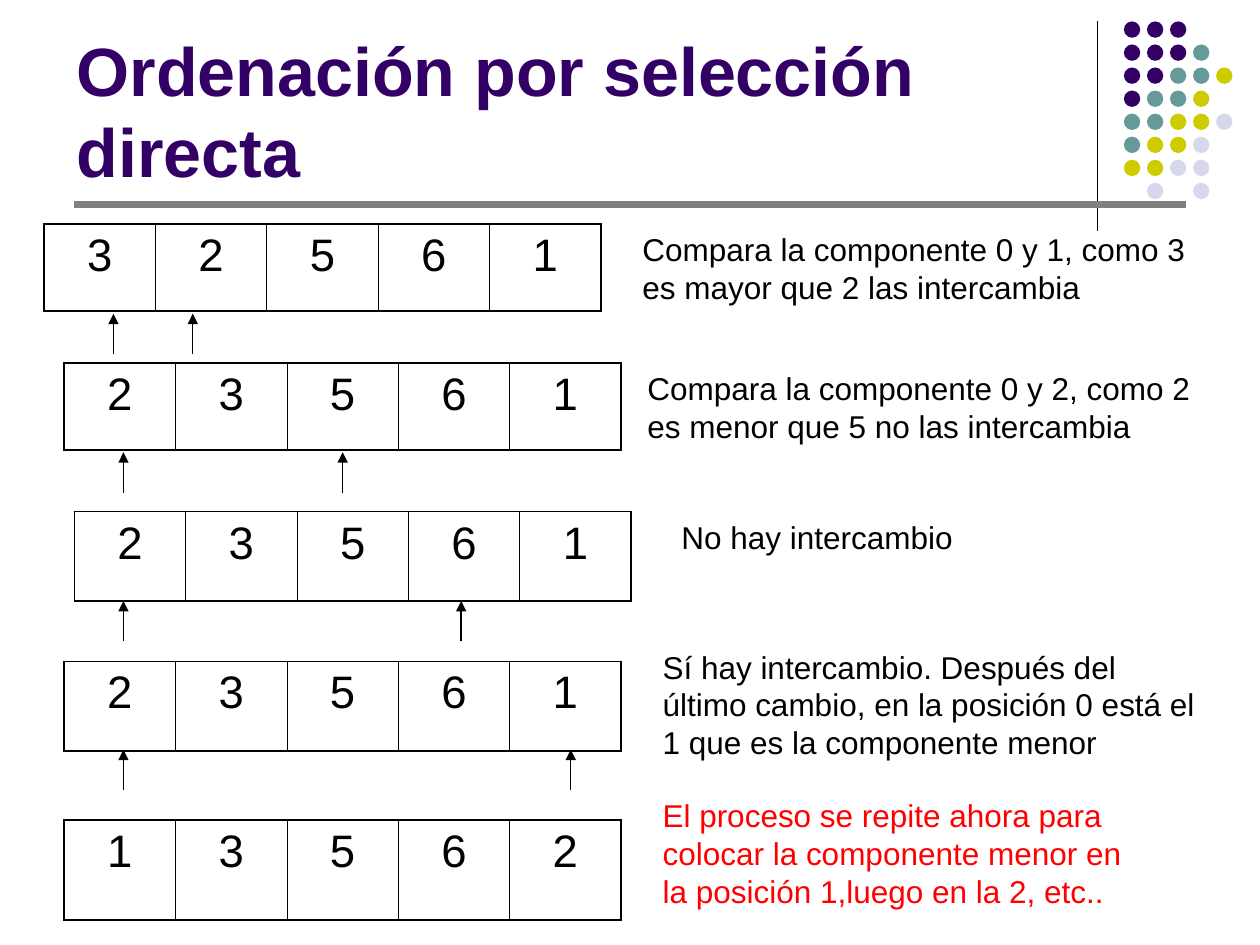
"""Builds a slide that traces one pass of direct selection sort."""
from lxml.etree import SubElement
from pptx import Presentation
from pptx.dml.color import RGBColor
from pptx.enum.shapes import MSO_CONNECTOR, MSO_SHAPE
from pptx.enum.text import MSO_ANCHOR, MSO_AUTO_SIZE, PP_ALIGN
from pptx.oxml import parse_xml
from pptx.oxml.ns import nsdecls, qn
from pptx.util import Inches, Pt

COLORS = {
    "black": "000000", "gray": "808080", "red": "FF0000",
    "P": "330066", "T": "669999", "Y": "CCCC00", "L": "D8D8EC",
}
TITLE = "Ordenación por selección directa"
DOT_ROWS = ["PPP", "PPPT", "PPTTY", "PTTY", "TTYYL", "TYYL", "YYLL", " L L"]
DOT_LEFT, DOT_TOP, DOT_PITCH, DOT_SIZE = 8.92, 0.17, 0.183, 0.13
RULES = [
    ((8.71, 0.17), (8.71, 1.83), "black", 0.75),
    ((0.59, 1.62), (9.41, 1.62), "gray", 4),
]
STEPS = [
    {"values": "32561", "at": (0.35, 1.78), "height": 0.69, "tips": (0.9, 1.53), "tip_y": 2.49},
    {"values": "23561", "at": (0.51, 2.88), "height": 0.69, "tips": (0.98, 2.72), "tip_y": 3.59},
    {"values": "23561", "at": (0.59, 4.06), "height": 0.71, "tips": (0.98, 3.66), "tip_y": 4.77},
    {"values": "23561", "at": (0.51, 5.25), "height": 0.71, "tips": (0.98, 4.53), "tip_y": 5.95},
    {"values": "13562", "at": (0.51, 6.51), "height": 0.79, "tips": (), "tip_y": 0},
]
NOTES = [
    ("Compara la componente 0 y 1, como 3 es mayor que 2 las intercambia",
     (5, 1.78, 4.69, 0.7), "black"),
    ("Compara la componente 0 y 2, como 2 es menor que 5 no las intercambia",
     (5.04, 2.88, 4.53, 0.7), "black"),
    ("No hay intercambio", (5.31, 4.06, 3.31, 0.4), "black"),
    ("Sí hay intercambio. Después del último cambio, en la posición 0 está el 1 "
     "que es la componente menor", (5.16, 5.09, 4.49, 1), "black"),
    ("El proceso se repite ahora para colocar la componente menor en la posición 1,"
     "luego en la 2, etc..", (5.16, 6.27, 4.09, 1), "red"),
]
TABLE_WIDTH, ARROW_LENGTH = 4.42, 0.32
OUTER, INNER = 1.08, 0.45
TITLE_FONT = {"size": Pt(39), "name": "Arial", "bold": True}
VALUE_FONT = {"size": Pt(26), "name": "Arial", "bold": False}
NOTE_FONT = {"size": Pt(18), "name": "Arial", "bold": False}
TITLE_FRAME = {"word_wrap": True, "vertical_anchor": MSO_ANCHOR.BOTTOM}
NOTE_FRAME = {"word_wrap": True, "auto_size": MSO_AUTO_SIZE.SHAPE_TO_FIT_TEXT}


def rgb(color):
    return RGBColor.from_string(COLORS[color])


def apply(target, values):
    for name, value in values.items():
        setattr(target, name, value)


def write(frame, text, font, color):
    run = frame.paragraphs[0].add_run()
    run.text = text
    apply(run.font, font)
    run.font.color.rgb = rgb(color)


def add_text(slide, text, at, frame_format, font, color):
    frame = slide.shapes.add_textbox(*map(Inches, at)).text_frame
    apply(frame, frame_format)
    write(frame, text, font, color)


def add_line(slide, start, end, color, width, arrow=False):
    line = slide.shapes.add_connector(MSO_CONNECTOR.STRAIGHT, *map(Inches, start + end))
    line.line.color.rgb = rgb(color)
    line.line.width = Pt(width)
    properties = line.line._get_or_add_ln()
    if arrow:
        SubElement(properties, qn("a:tailEnd"), type="triangle")
    SubElement(properties.getparent(), qn("a:effectLst"))


def add_dots(slide):
    dots = slide.shapes.add_group_shape().shapes
    for row, colors in enumerate(DOT_ROWS):
        for column, color in enumerate(colors):
            if color == " ":
                continue
            left, top = DOT_LEFT + column * DOT_PITCH, DOT_TOP + row * DOT_PITCH
            dot = dots.add_shape(MSO_SHAPE.OVAL, *map(Inches, (left, top, DOT_SIZE, DOT_SIZE)))
            dot.shadow.inherit = False
            dot.fill.solid()
            dot.fill.fore_color.rgb = rgb(color)
            dot.line.fill.background()


def set_borders(cell, widths):
    properties = cell._tc.get_or_add_tcPr()
    for position, (side, width) in enumerate(widths.items()):
        properties.insert(position, parse_xml(
            f'<a:ln{side} {nsdecls("a")} w="{Pt(width)}"><a:solidFill>'
            f'<a:srgbClr val="{COLORS["black"]}"/></a:solidFill></a:ln{side}>'))


def add_step(slide, step):
    values = step["values"]
    size = (TABLE_WIDTH, step["height"])
    table = slide.shapes.add_table(1, len(values), *map(Inches, step["at"] + size)).table
    apply(table, {"first_row": False, "horz_banding": False})
    last = len(values) - 1
    for column, value in enumerate(values):
        cell = table.cell(0, column)
        cell.fill.background()
        write(cell.text_frame, value, VALUE_FONT, "black")
        cell.text_frame.paragraphs[0].alignment = PP_ALIGN.CENTER
        set_borders(cell, {
            "L": OUTER if column == 0 else INNER,
            "R": OUTER if column == last else INNER,
            "T": OUTER, "B": OUTER,
        })
    for x in step["tips"]:
        tip_y = step["tip_y"]
        add_line(slide, (x, tip_y + ARROW_LENGTH), (x, tip_y), "black", 0.75, arrow=True)


def main():
    deck = Presentation()
    apply(deck, {"slide_width": Inches(10), "slide_height": Inches(7.5)})
    slide = deck.slides.add_slide(deck.slide_layouts[6])
    add_dots(slide)
    for rule in RULES:
        add_line(slide, *rule)
    add_text(slide, TITLE, (0.51, 0, 8.25, 1.57), TITLE_FRAME, TITLE_FONT, "P")
    for step in STEPS:
        add_step(slide, step)
    for text, at, color in NOTES:
        add_text(slide, text, at, NOTE_FRAME, NOTE_FONT, color)
    deck.save("out.pptx")


if __name__ == "__main__":
    main()
